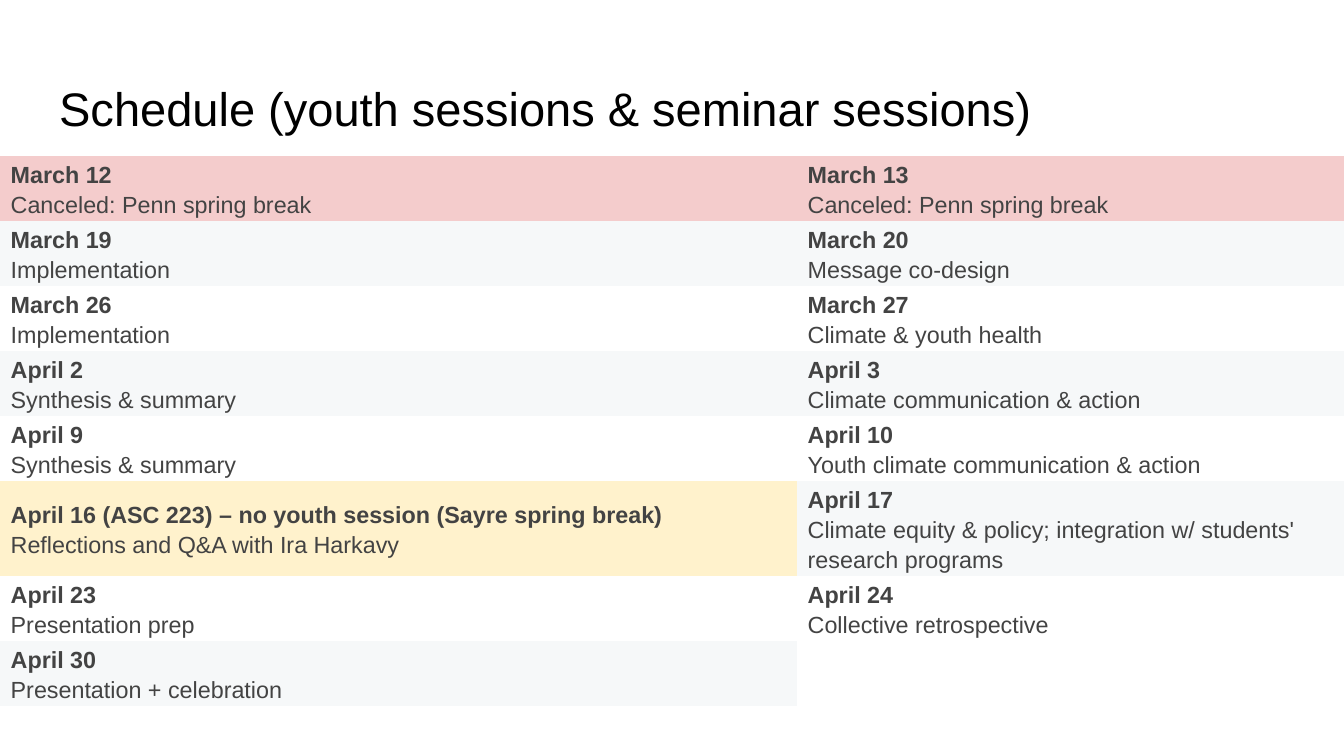
"""Build the schedule slide of youth sessions and seminar sessions."""
import dataclasses
import typing

import pptx
import pptx.dml.color
import pptx.enum.text
import pptx.oxml.ns
import pptx.util

Inches = pptx.util.Inches
SLIDE_SIZE = {"slide_width": Inches(10), "slide_height": Inches(10 * 9 / 16)}
COLORS = {
    "title": "000000",
    "text": "434343",
    "plain": "FFFFFF",
    "band": "F6F8F9",
    "canceled": "F4CCCC",
    "special": "FFF2CC",
}
NO_STYLE_NO_GRID = "{2D5ABB26-0587-4C30-8999-92F81FD0307C}"
COLUMN_WIDTHS = (5.93, 4.13)
ROW_HEIGHTS = (0.34, 0.38, 0.3, 0.32, 0.37, 0.55, 0.38, 0.38)
CELL_FORMAT = {
    "margin_left": Inches(0.08),
    "margin_right": Inches(0.08),
    "margin_top": Inches(0.02),
    "margin_bottom": Inches(0.02),
    "vertical_anchor": pptx.enum.text.MSO_ANCHOR.MIDDLE,
}
TITLE_PLACE = {
    "left": Inches(0.34),
    "top": Inches(0.49),
    "width": Inches(9.32),
    "height": Inches(0.63),
}
TITLE_FRAME = {
    "margin_left": Inches(0.1),
    "margin_right": Inches(0.1),
    "margin_top": Inches(0.1),
    "margin_bottom": Inches(0.1),
    "vertical_anchor": pptx.enum.text.MSO_ANCHOR.TOP,
    "word_wrap": True,
}


@dataclasses.dataclass
class Session:
    date: str
    topic: str
    status: str = ""


WEEKS = [
    (Session("March 12", "Canceled: Penn spring break", "canceled"),
     Session("March 13", "Canceled: Penn spring break", "canceled")),
    (Session("March 19", "Implementation"),
     Session("March 20", "Message co-design")),
    (Session("March 26", "Implementation"),
     Session("March 27", "Climate & youth health")),
    (Session("April 2", "Synthesis & summary"),
     Session("April 3", "Climate communication & action")),
    (Session("April 9", "Synthesis & summary"),
     Session("April 10", "Youth climate communication & action")),
    (Session("April 16 (ASC 223) – no youth session (Sayre spring break)",
             "Reflections and Q&A with Ira Harkavy", "special"),
     Session("April 17", "Climate equity & policy; integration w/ students' research programs")),
    (Session("April 23", "Presentation prep"),
     Session("April 24", "Collective retrospective")),
    (Session("April 30", "Presentation + celebration"), None),
]


def apply_format(target: typing.Any, values: dict) -> None:
    for name, value in values.items():
        setattr(target, name, value)


def style_font(font: typing.Any, size: float, color: str, bold: bool = False) -> None:
    apply_format(font, {"name": "Arial", "size": pptx.util.Pt(size), "bold": bold})
    font.color.rgb = pptx.dml.color.RGBColor.from_string(COLORS[color])


def write_title(title: typing.Any, wording: str) -> None:
    apply_format(title, TITLE_PLACE)
    apply_format(title.text_frame, TITLE_FRAME)
    title.text_frame.text = wording
    heading = title.text_frame.paragraphs[0]
    heading.alignment = pptx.enum.text.PP_ALIGN.LEFT
    style_font(heading.runs[0].font, 25.2, "title")


def fill_cell(cell: typing.Any, session: typing.Optional[Session], week: int) -> None:
    apply_format(cell, CELL_FORMAT)
    if session is None:
        cell.fill.background()
        return
    color = session.status or ("band" if week % 2 else "plain")
    cell.fill.solid()
    cell.fill.fore_color.rgb = pptx.dml.color.RGBColor.from_string(COLORS[color])
    cell.text = f"{session.date}\n{session.topic}"
    for paragraph, bold in zip(cell.text_frame.paragraphs, (True, False)):
        paragraph.line_spacing = 1.15
        style_font(paragraph.runs[0].font, 12.5, "text", bold)


def add_schedule(slide: typing.Any) -> None:
    schedule = slide.shapes.add_table(
        len(WEEKS), len(COLUMN_WIDTHS), Inches(0), Inches(1.16),
        Inches(sum(COLUMN_WIDTHS)), Inches(sum(ROW_HEIGHTS))).table
    apply_format(schedule, {"first_row": False, "horz_banding": False})
    style_id = schedule._tbl.tblPr.find(pptx.oxml.ns.qn("a:tableStyleId"))
    style_id.text = NO_STYLE_NO_GRID
    for column, width in zip(schedule.columns, COLUMN_WIDTHS):
        column.width = Inches(width)
    for week, (sessions, height) in enumerate(zip(WEEKS, ROW_HEIGHTS)):
        schedule.rows[week].height = Inches(height)
        for side, session in enumerate(sessions):
            fill_cell(schedule.cell(week, side), session, week)


def main() -> None:
    deck = pptx.Presentation()
    apply_format(deck, SLIDE_SIZE)
    slide = deck.slides.add_slide(deck.slide_layouts.get_by_name("Title Only"))
    write_title(slide.shapes.title, "Schedule (youth sessions & seminar sessions)")
    add_schedule(slide)
    deck.save("out.pptx")


if __name__ == "__main__":
    main()
